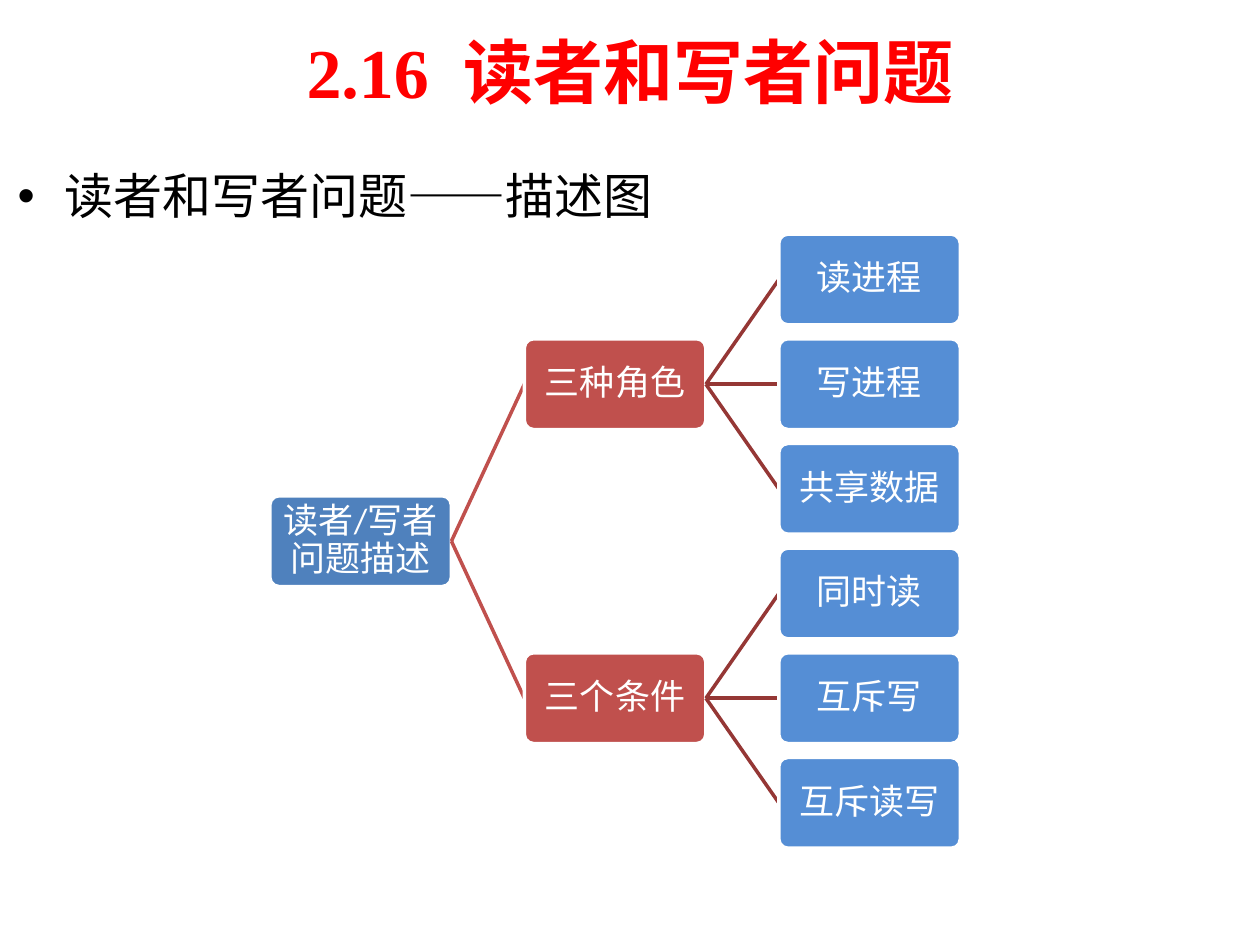
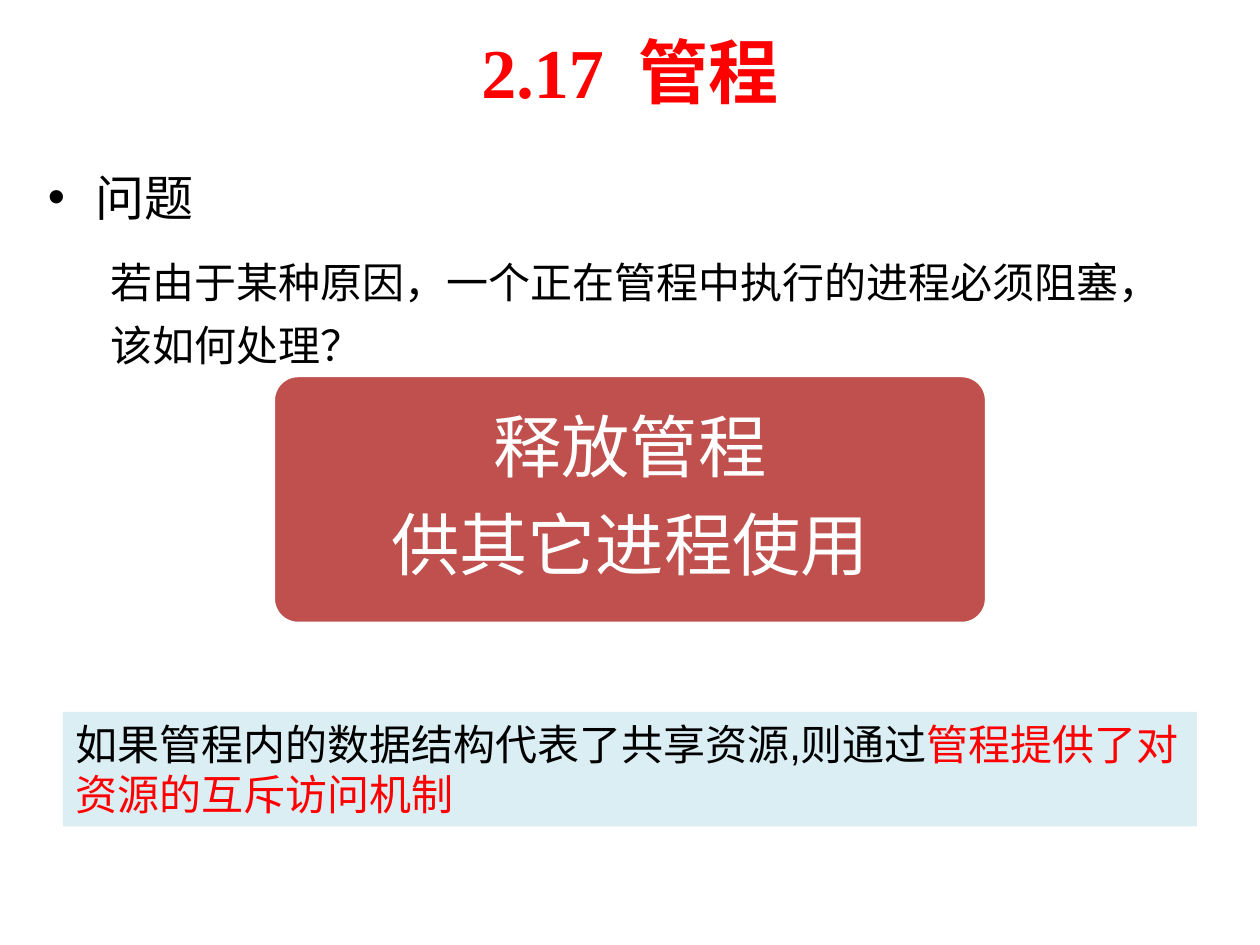
from dataclasses import dataclass

from lxml import etree
from pptx import Presentation
from pptx import util as u
from pptx.dml import color
from pptx.enum import shapes, text
from pptx.oxml import ns

RED, BLACK, WHITE = "FF0000", "000000", "FFFFFF"
BRICK, PALE = "C0504D", "DBEEF4"
NODE_FILLS = ("4F81BD", BRICK, "558ED5")
LINK_COLOURS = (BRICK, "953735")
SERIF, SANS, DIAGRAM = "Times New Roman", "Arial", "Calibri"
NODE_WIDTH, NODE_HEIGHT = 3.66, 1.83
TREE_LEFT, TREE_TOP = 5.44, 4.72
COLUMN_STEP, ROW_STEP = 5.13, 2.11


@dataclass(frozen=True)
class Area:
    left: float
    top: float
    width: float
    height: float

    def lengths(self) -> tuple:
        return tuple(u.Cm(side) for side in (self.left, self.top, self.width, self.height))


@dataclass(frozen=True)
class Bullet:
    words: str
    level: int = 0


@dataclass(frozen=True)
class Node:
    label: str
    children: tuple["Node", ...] = ()

    def leaf_count(self) -> int:
        return sum(child.leaf_count() for child in self.children) or 1

    def row(self, first_row: int) -> float:
        return first_row + (self.leaf_count() - 1) / 2


TITLE_AREA = Area(1.27, 0.13, 22.86, 2.59)
BULLET_STYLES = ((28, SERIF), (24, SANS))
PROBLEM_TREE = Node("读者/写者问题描述", (
    Node("三种角色", (Node("读进程"), Node("写进程"), Node("共享数据"))),
    Node("三个条件", (Node("同时读"), Node("互斥写"), Node("互斥读写"))),
))


def rgb(code: str) -> color.RGBColor:
    return color.RGBColor.from_string(code)


def set_font(font, name: str, size: float, colour: str, bold: bool = False) -> None:
    font.name, font.size, font.bold = name, u.Pt(size), bold
    font.color.rgb = rgb(colour)


def place(shape, area: Area) -> None:
    shape.left, shape.top, shape.width, shape.height = area.lengths()


def add_page(deck, title: str, body_area: Area, bullets: list[Bullet]):
    page = deck.slides.add_slide(deck.slide_layouts[1])
    heading, body = page.placeholders
    for holder, area in ((heading, TITLE_AREA), (body, body_area)):
        place(holder, area)
        holder.text_frame.auto_size = text.MSO_AUTO_SIZE.NONE
    heading.text_frame.text = title
    title_para = heading.text_frame.paragraphs[0]
    title_para.alignment = text.PP_ALIGN.CENTER
    set_font(title_para.font, SERIF, 40, RED, True)

    body.text_frame.text = "\n".join(bullet.words for bullet in bullets)
    for index, (para, bullet) in enumerate(zip(body.text_frame.paragraphs, bullets)):
        size, name = BULLET_STYLES[bullet.level]
        para.level = bullet.level
        if bullet.level:
            properties = para._p.get_or_add_pPr()
            properties.set("marL", str(u.Cm(1.27)))
            properties.set("indent", "0")
            etree.SubElement(properties, ns.qn("a:buNone"))
        para.line_spacing = 1.25
        para.space_before = u.Pt(size * 0.2 if index else 0)
        para.space_after = u.Pt(size * 0.2)
        set_font(para.font, name, size, BLACK)
    return page


def add_card(page, area: Area, words: str, fill: str, size: float, inset: float):
    card = page.shapes.add_shape(shapes.MSO_SHAPE.ROUNDED_RECTANGLE, *area.lengths())
    card.adjustments[0] = 0.1
    card.shadow.inherit = False
    card.fill.solid()
    card.fill.fore_color.rgb = rgb(fill)
    card.line.color.rgb = rgb(WHITE)
    card.line.width = u.Pt(2)
    frame = card.text_frame
    frame.margin_left = frame.margin_right = u.Cm(inset)
    frame.margin_top = frame.margin_bottom = u.Cm(inset)
    frame.vertical_anchor = text.MSO_ANCHOR.MIDDLE
    frame.text = words
    for para in frame.paragraphs:
        para.alignment = text.PP_ALIGN.CENTER
        para.line_spacing = 0.9
        para.space_after = u.Pt(size * 0.35)
        set_font(para.font, DIAGRAM, size, WHITE)
    return card


def add_link(page, parent, colour: str):
    start = parent.left + parent.width, parent.top + parent.height // 2
    link = page.shapes.add_connector(shapes.MSO_CONNECTOR.STRAIGHT, *start, *start)
    link.begin_connect(parent, 3)
    link.line.color.rgb = rgb(colour)
    link.line.width = u.Pt(2)
    etree.SubElement(link._element.spPr, ns.qn("a:effectLst"))
    return link


def add_tree(page, node: Node, depth: int = 0, first_row: int = 0):
    area = Area(TREE_LEFT + depth * COLUMN_STEP,
                TREE_TOP + node.row(first_row) * ROW_STEP, NODE_WIDTH, NODE_HEIGHT)
    card = add_card(page, area, node.label, NODE_FILLS[depth], 20, 0.03)
    for child in node.children:
        link = add_link(page, card, LINK_COLOURS[depth])
        child_card = add_tree(page, child, depth + 1, first_row)
        link.end_connect(child_card, 1)
        first_row += child.leaf_count()
    return card


def add_note(page, area: Area, spans: list[tuple[str, str]]) -> None:
    box = page.shapes.add_textbox(*area.lengths())
    box.fill.solid()
    box.fill.fore_color.rgb = rgb(PALE)
    box.text_frame.word_wrap = True
    box.text_frame.auto_size = text.MSO_AUTO_SIZE.SHAPE_TO_FIT_TEXT
    para = box.text_frame.paragraphs[0]
    for words, colour in spans:
        span = para.add_run()
        span.text = words
        set_font(span.font, SANS, 24, colour)


def main() -> None:
    deck = Presentation()
    deck.slide_width, deck.slide_height = u.Cm(25.4), u.Cm(19.05)

    readers_page = add_page(deck, "2.16  读者和写者问题", Area(0.1, 2.92, 22.86, 12.57),
                            [Bullet("读者和写者问题——描述图")])
    add_tree(readers_page, PROBLEM_TREE)

    monitor_page = add_page(deck, "2.17  管程", Area(0.71, 2.95, 23.19, 11.96), [
        Bullet("问题"),
        Bullet("若由于某种原因，一个正在管程中执行的进程必须阻塞，该如何处理？", 1),
    ])
    add_card(monitor_page, Area(5.51, 7.57, 14.38, 5), "释放管程\n供其它进程使用", BRICK, 39, 0.41)
    add_note(monitor_page, Area(1.27, 14.35, 22.86, 2.31), [
        ("如果管程内的数据结构代表了共享资源,则通过", BLACK),
        ("管程提供了对资源的互斥访问机制", RED),
    ])
    deck.save("out.pptx")


if __name__ == "__main__":
    main()
